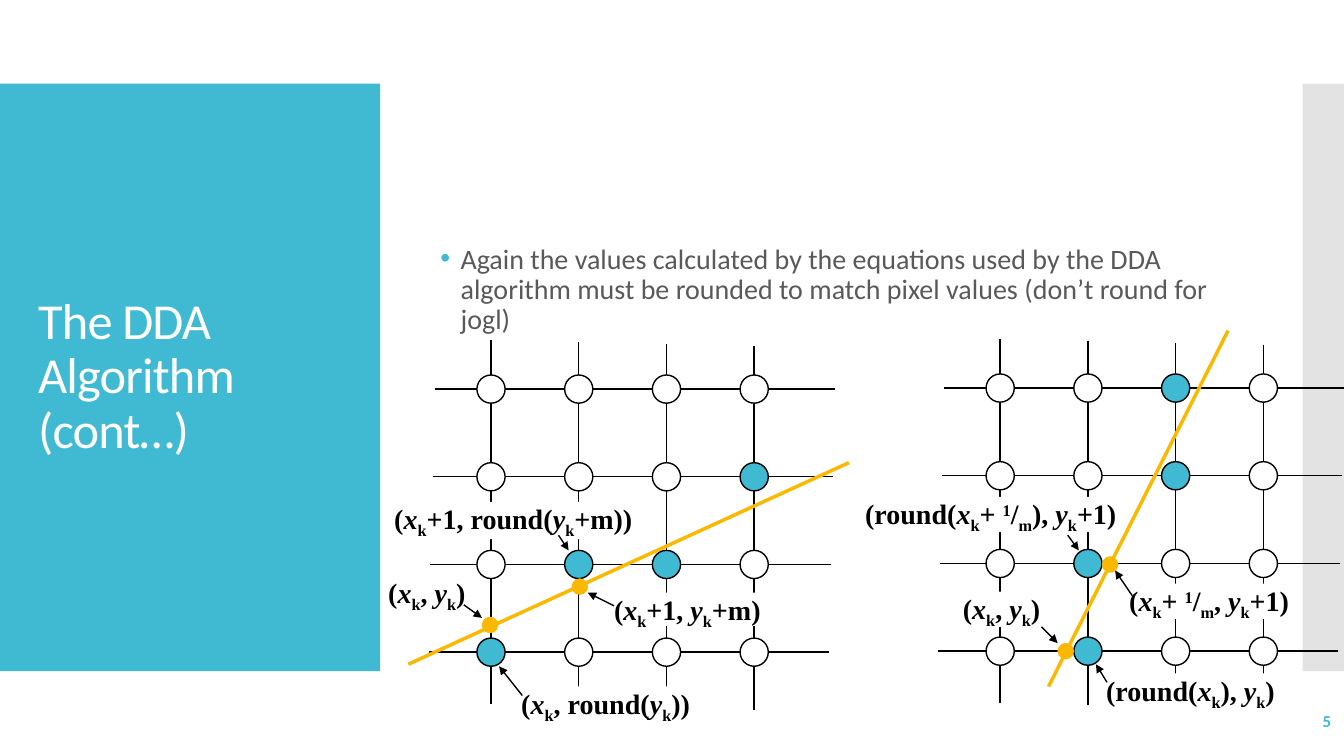
import pptx
import pptx.dml.color
import pptx.enum.shapes
import pptx.enum.text
import pptx.oxml
import pptx.oxml.ns
import pptx.util
from lxml import etree

RGB = pptx.dml.color.RGBColor
TEAL = RGB(0x40, 0xBA, 0xD2)
AMBER = RGB(0xFA, 0xB9, 0x00)
GREY = RGB(0xC8, 0xC8, 0xC8)
INK = RGB(0x59, 0x59, 0x59)
BLACK = RGB(0, 0, 0)
WHITE = RGB(0xFF, 0xFF, 0xFF)
SANS, SERIF = "Calibri", "Times New Roman"
KIND = pptx.enum.shapes.MSO_SHAPE
ANCHOR = pptx.enum.text.MSO_ANCHOR
ALIGN = pptx.enum.text.PP_ALIGN

TITLE = "The DDA Algorithm (cont…)"
BODY = ("Again the values calculated by the equations used by the DDA algorithm "
        "must be rounded to match pixel values (don’t round for jogl)")
PAGE = "5"

# Label parts: (text, style)
XK = [("x", "italic"), ("k", "sub")]
YK = [("y", "italic"), ("k", "sub")]
PER_M = [("+ ", ""), ("1", "super"), ("/", ""), ("m", "sub")]


def plain(text):
    return [(text, "")]


POINT = plain("(") + XK + plain(", ") + YK + plain(")")

# Each plot: shift from the first grid, filled (row, column) nodes, sloping
# line, dots (centre), labels (box, parts) and arrows (from, to)
PLOTS = [
    {
        "shift": (0, 0),
        "filled": {(1, 3), (2, 1), (2, 2), (3, 0)},
        "slope": (405, 659, 842, 459),
        "dots": [(486, 620), (575, 582)],
        "labels": [
            ((385, 571, 79, 33), POINT),
            ((609, 588, 147, 33),
             plain("(") + XK + plain("+1, ") + YK + plain("+m)")),
            ((517, 681, 170, 45),
             plain("(") + XK + plain(", round(") + YK + plain("))")),
            ((391, 498, 238, 37),
             plain("(") + XK + plain("+1, round(") + YK + plain("+m))")),
        ],
        "arrows": [(460, 600, 478, 613), (609, 601, 583, 588),
                   (518, 690, 495, 661), (554, 531, 564, 546)],
    },
    {
        "shift": (505, -1),
        "filled": {(0, 2), (1, 2), (2, 1), (3, 1)},
        "slope": (1218, 328, 1040, 681),
        "dots": [(1057, 646), (1101, 560)],
        "labels": [
            ((955, 587, 79, 35), POINT),
            ((1120, 579, 163, 35),
             plain("(") + XK + PER_M + plain(", ") + YK + plain("+1)")),
            ((1097, 668, 170, 37),
             plain("(round(") + XK + plain("), ") + YK + plain(")")),
            ((858, 493, 254, 35),
             plain("(round(") + XK + PER_M + plain("), ") + YK + plain("+1)")),
        ],
        "arrows": [(1123, 591, 1106, 566), (1098, 677, 1087, 659),
                   (1033, 622, 1049, 638), (1059, 531, 1070, 546)],
    },
]
COUNT, STEP = 4, 87
COL, ROW = 487, 386       # first vertical and horizontal grid line
NODE, DOT = 28, 15        # diameters


def px(n):
    return pptx.util.Emu(round(n * 9144))


deck = pptx.Presentation()
deck.slide_width, deck.slide_height = px(1333), px(750)
slide = deck.slides.add_slide(deck.slide_layouts[6])


def shape(kind, box, fill, edge=None):
    item = slide.shapes.add_shape(kind, *map(px, box))
    item.shadow.inherit = False
    item.fill.solid()
    item.fill.fore_color.rgb = fill
    if edge is None:
        item.line.fill.background()
    else:
        item.line.color.rgb = edge
        item.line.width = pptx.util.Pt(1)
    return item


def disc(x, y, size, fill, edge):
    """Circle centred on x, y."""
    shape(KIND.OVAL, (x - size / 2, y - size / 2, size, size), fill, edge)


def line(ends, color=BLACK, width=1, arrow=False):
    item = slide.shapes.add_connector(
        pptx.enum.shapes.MSO_CONNECTOR.STRAIGHT, *map(px, ends))
    item.line.color.rgb = color
    item.line.width = pptx.util.Pt(width)
    if arrow:
        ln = item.line._get_or_add_ln()
        etree.SubElement(ln, pptx.oxml.ns.qn("a:tailEnd"), type="triangle")
    etree.SubElement(item._element.spPr, pptx.oxml.ns.qn("a:effectLst"))


def style(run, font, size, color, bold=False):
    run.font.name = font
    run.font.size = pptx.util.Pt(size)
    run.font.color.rgb = color
    run.font.bold = bold


def text(box, words, size, color, bold=False):
    """Middle-anchored wrapping text box; returns its paragraph."""
    frame = slide.shapes.add_textbox(*map(px, box)).text_frame
    frame.word_wrap = True
    frame.vertical_anchor = ANCHOR.MIDDLE
    frame.text = words
    para = frame.paragraphs[0]
    style(para.runs[0], SANS, size, color, bold)
    return para


def label(box, parts):
    frame = shape(KIND.RECTANGLE, box, WHITE).text_frame
    frame.word_wrap = False
    frame.vertical_anchor = ANCHOR.TOP
    frame.margin_left = frame.margin_right = 0
    frame.margin_top = frame.margin_bottom = 0
    para = frame.paragraphs[0]
    para.alignment = ALIGN.LEFT
    shift = {"sub": "-25000", "super": "30000"}
    for words, mode in parts:
        run = para.add_run()
        run.text = words
        style(run, SERIF, 20, BLACK, True)
        run.font.italic = mode == "italic"
        if mode in shift:
            run.font._element.set("baseline", shift[mode])


def bullet(para):
    props = para._p.get_or_add_pPr()
    props.set("marL", str(px(20)))
    props.set("indent", str(-px(20)))
    space = pptx.oxml.ns.nsdecls("a")
    for part in (f'<a:buClr {space}><a:srgbClr val="{TEAL}"/></a:buClr>',
                 f'<a:buFont {space} typeface="Arial"/>',
                 f'<a:buChar {space} char="•"/>'):
        props.append(pptx.oxml.parse_xml(part))


def plot(data):
    dx, dy = data["shift"]
    cols = [COL + dx + STEP * i for i in range(COUNT)]
    rows = [ROW + dy + STEP * i for i in range(COUNT)]
    for i, (x, y) in enumerate(zip(cols, rows)):
        top, left = 337 + dy + 2 * i, 431 + dx - 2 * i
        line((x, top, x, top + 361))
        line((left, y, left + 397, y))
    for r, y in enumerate(rows):
        for c, x in enumerate(cols):
            fill = TEAL if (r, c) in data["filled"] else WHITE
            disc(x, y, NODE, fill, BLACK)
    line(data["slope"], AMBER, 2.5)
    for x, y in data["dots"]:
        disc(x, y, DOT, AMBER, AMBER)
    for box, parts in data["labels"]:
        label(box, parts)
    for ends in data["arrows"]:
        line(ends, arrow=True)


shape(KIND.RECTANGLE, (0, 83, 377, 583), TEAL)
strip = shape(KIND.RECTANGLE, (1292, 83, 41, 583), GREY)
tint = strip._element.spPr.find(".//" + pptx.oxml.ns.qn("a:srgbClr"))
etree.SubElement(tint, pptx.oxml.ns.qn("a:alpha"), val="50000")

head = text((28, 123, 322, 503), TITLE, 36, WHITE)
head.line_spacing = 0.9
head.runs[0].font._element.set("spc", "-60")
body = text((427, 21, 800, 534), BODY, 20, INK)
body.line_spacing = 0.9
bullet(body)
for data in PLOTS:
    plot(data)
text((1163, 695, 167, 40), PAGE, 12, TEAL, True).alignment = ALIGN.RIGHT

deck.save("out.pptx")
